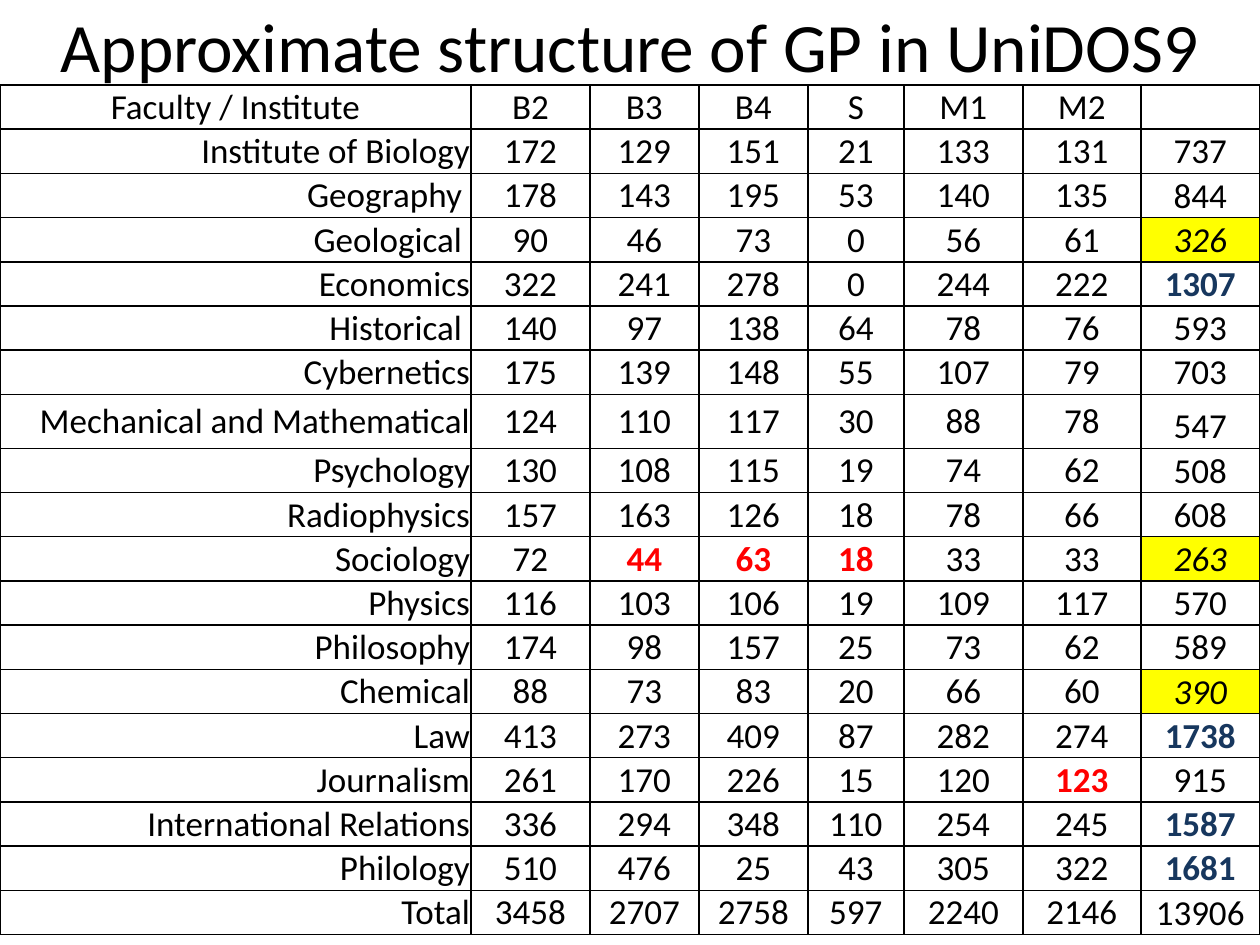
from lxml.etree import fromstring
from pptx import Presentation
from pptx.dml.color import RGBColor
from pptx.enum.text import MSO_ANCHOR as Anchor, MSO_AUTO_SIZE as AutoSize, PP_ALIGN as Align
from pptx.util import Pt

# Content
TITLE = "Approximate structure of GP in UniDOS9"
HEADER = ("Faculty / Institute", "B2", "B3", "B4", "S", "M1", "M2", "")
FACULTIES = [
    ("Institute of Biology", 172, 129, 151, 21, 133, 131, 737),
    ("Geography ", 178, 143, 195, 53, 140, 135, 844),
    ("Geological ", 90, 46, 73, 0, 56, 61, 326),
    ("Economics", 322, 241, 278, 0, 244, 222, 1307),
    ("Historical ", 140, 97, 138, 64, 78, 76, 593),
    ("Cybernetics", 175, 139, 148, 55, 107, 79, 703),
    ("Mechanical and Mathematical", 124, 110, 117, 30, 88, 78, 547),
    ("Psychology", 130, 108, 115, 19, 74, 62, 508),
    ("Radiophysics", 157, 163, 126, 18, 78, 66, 608),
    ("Sociology", 72, 44, 63, 18, 33, 33, 263),
    ("Physics", 116, 103, 106, 19, 109, 117, 570),
    ("Philosophy", 174, 98, 157, 25, 73, 62, 589),
    ("Chemical", 88, 73, 83, 20, 66, 60, 390),
    ("Law", 413, 273, 409, 87, 282, 274, 1738),
    ("Journalism", 261, 170, 226, 15, 120, 123, 915),
    ("International Relations", 336, 294, 348, 110, 254, 245, 1587),
    ("Philology", 510, 476, 25, 43, 305, 322, 1681),
]
TOTAL = ("Total", 3458, 2707, 2758, 597, 2240, 2146, 13906)
ROWS = [HEADER, *FACULTIES, TOTAL]
RED_CELLS = {("Sociology", "B3"), ("Sociology", "B4"), ("Sociology", "S"), ("Journalism", "M2")}
SMALL_BELOW, LARGE_ABOVE = 400, 1000
TALL_ROW_NAME = "Mechanical and Mathematical"

# Format, lengths in pixels
PX = 914400 // 126
SLIDE_W, SLIDE_H = 1260, 945
TITLE_BOX = (15, 6, 1230, 77)
TABLE_TOP, TABLE_H, TALL_ROW_H = 85, 850, 54
COLUMN_WIDTHS = (471, 119, 109, 109, 96, 119, 118, 119)
ROW_H = (TABLE_H - TALL_ROW_H) / (len(ROWS) - 1)
INSET = 1
FONT = "Calibri"
BLACK = RGBColor(0x00, 0x00, 0x00)
RED = RGBColor(0xFF, 0x00, 0x00)
NAVY = RGBColor(0x17, 0x37, 0x5E)
YELLOW = RGBColor(0xFF, 0xFF, 0x00)
DRAWING_NS = "http://schemas.openxmlformats.org/drawingml/2006/main"


def emu(pixels):
    return round(pixels * PX)


def write(frame, text, size=20, color=BLACK, bold=False, italic=False, align=Align.CENTER):
    paragraph = frame.paragraphs[0]
    paragraph.alignment = align
    paragraph.font.size = Pt(size)
    if text:
        run = paragraph.add_run()
        run.text = text
        font = run.font
        font.name, font.size, font.bold, font.italic = FONT, Pt(size), bold, italic
        font.color.rgb = color


def draw_borders(cell):
    properties = cell._tc.get_or_add_tcPr()
    for position, side in enumerate("LRTB"):
        properties.insert(position, fromstring(
            f'<a:ln{side} xmlns:a="{DRAWING_NS}" w="12700"><a:solidFill>'
            f'<a:srgbClr val="{BLACK}"/></a:solidFill></a:ln{side}>'))


def emphasis(row, column):
    """Text format that marks small groups, large groups and red figures."""
    if (row[0], HEADER[column]) in RED_CELLS:
        return {"color": RED, "bold": True}
    if row in FACULTIES and column == len(HEADER) - 1:
        if row[column] < SMALL_BELOW:
            return {"italic": True}
        if row[column] > LARGE_ABOVE:
            return {"color": NAVY, "bold": True}
    return {}


presentation = Presentation()
presentation.slide_width, presentation.slide_height = emu(SLIDE_W), emu(SLIDE_H)
slide = presentation.slides.add_slide(presentation.slide_layouts[5])

# Title
title = slide.shapes.title
title.left, title.top, title.width, title.height = map(emu, TITLE_BOX)
title.text_frame.auto_size = AutoSize.NONE
title.text_frame.vertical_anchor = Anchor.MIDDLE
write(title.text_frame, TITLE, size=39.6)

# Table
students = slide.shapes.add_table(
    len(ROWS), len(HEADER), 0, emu(TABLE_TOP), emu(SLIDE_W), emu(TABLE_H)).table
students.first_row = students.horz_banding = False
for table_column, width in zip(students.columns, COLUMN_WIDTHS):
    table_column.width = emu(width)

for row_index, row in enumerate(ROWS):
    students.rows[row_index].height = emu(TALL_ROW_H if row[0] == TALL_ROW_NAME else ROW_H)
    for column, value in enumerate(row):
        cell = students.cell(row_index, column)
        cell.margin_left = cell.margin_right = cell.margin_top = emu(INSET)
        cell.margin_bottom = 0
        in_sum_column = column == len(HEADER) - 1
        cell.vertical_anchor = Anchor.BOTTOM if in_sum_column else Anchor.MIDDLE
        is_faculty_name = column == 0 and row is not HEADER
        style = emphasis(row, column)
        write(cell.text_frame, str(value),
              align=Align.RIGHT if is_faculty_name else Align.CENTER, **style)
        if style.get("italic"):
            cell.fill.solid()
            cell.fill.fore_color.rgb = YELLOW
        else:
            cell.fill.background()
        draw_borders(cell)

presentation.save("out.pptx")
